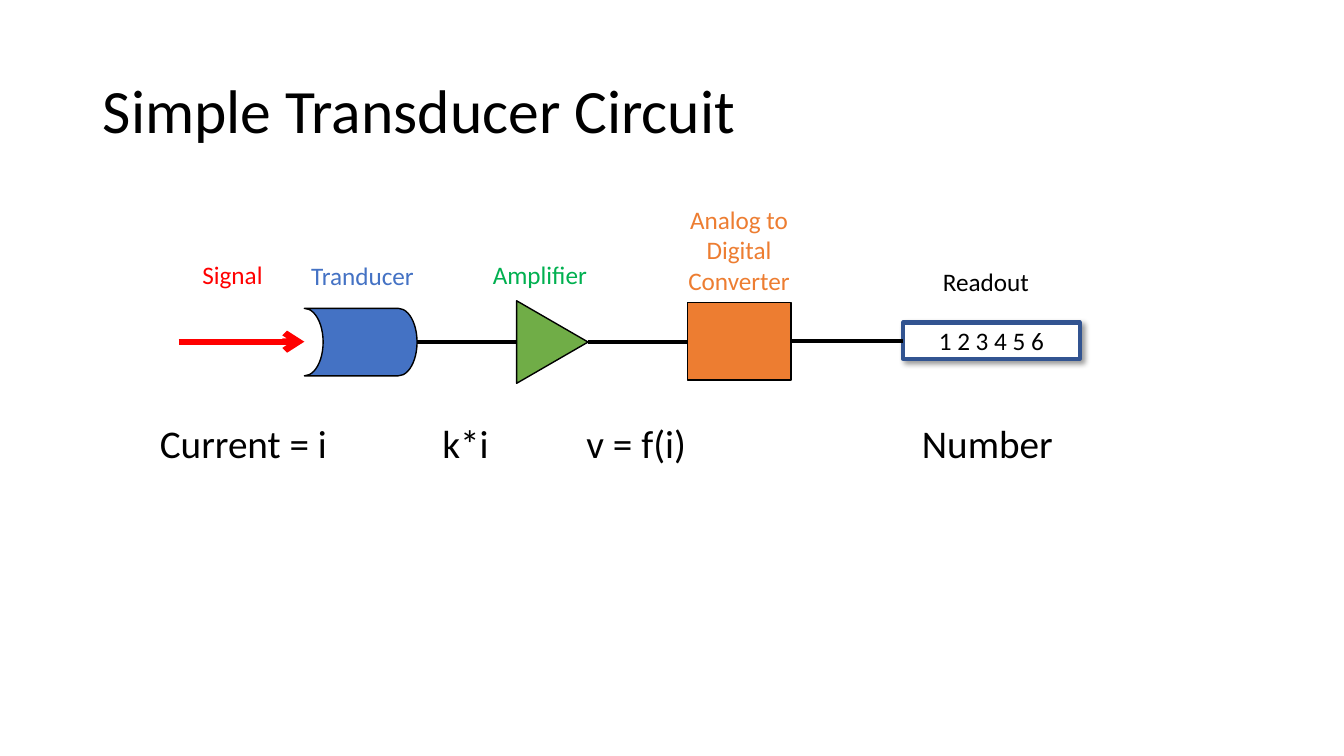
from pptx import Presentation
from pptx.dml.color import RGBColor
from pptx.enum.shapes import MSO_CONNECTOR, MSO_SHAPE
from pptx.enum.text import MSO_ANCHOR, MSO_AUTO_SIZE, PP_ALIGN
from pptx.oxml import parse_xml
from pptx.oxml.ns import nsdecls, qn
from pptx.util import Cm, Pt
from lxml.etree import SubElement

BLACK = RGBColor(0x00, 0x00, 0x00)
WHITE = RGBColor(0xFF, 0xFF, 0xFF)
RED = RGBColor(0xFF, 0x00, 0x00)
BLUE = RGBColor(0x44, 0x72, 0xC4)
NAVY = RGBColor(0x32, 0x54, 0x91)
LEAF = RGBColor(0x70, 0xAD, 0x47)
GREEN = RGBColor(0x00, 0xB0, 0x50)
ORANGE = RGBColor(0xED, 0x7D, 0x31)

deck = Presentation()
deck.slide_width, deck.slide_height = Cm(33.87), Cm(19.05)
slide = deck.slides.add_slide(deck.slide_layouts[5])
shapes = slide.shapes


def write(frame, text, size, color, align):
    para = frame.paragraphs[0]
    para.alignment = align
    run = para.add_run()
    run.text = text
    run.font.name = "Calibri"
    run.font.size = Pt(size)
    run.font.color.rgb = color


# Title
title = shapes.title
title.left, title.top, title.width, title.height = Cm(2.34), Cm(1.02), Cm(29.21), Cm(3.68)
frame = title.text_frame
frame.word_wrap = True
frame.auto_size = MSO_AUTO_SIZE.NONE
frame.vertical_anchor = MSO_ANCHOR.MIDDLE
write(frame, "Simple Transducer Circuit", 44, BLACK, PP_ALIGN.LEFT)
frame.paragraphs[0].line_spacing = 0.9

# Stages of the circuit
stages = [
    (MSO_SHAPE.FLOWCHART_STORED_DATA, 7.67, 7.77, 2.84, 1.7, 180, BLUE, BLACK, 1),
    (MSO_SHAPE.ISOSCELES_TRIANGLE, 12.88, 7.72, 2.08, 1.8, 90, LEAF, BLACK, 1),
    (MSO_SHAPE.RECTANGLE, 17.32, 7.62, 2.62, 1.96, 0, ORANGE, BLACK, 1),
    (MSO_SHAPE.RECTANGLE, 22.76, 8.13, 4.45, 0.91, 0, WHITE, NAVY, 3),
]
for kind, x, y, w, h, turn, fill, edge, width in stages:
    stage = shapes.add_shape(kind, Cm(x), Cm(y), Cm(w), Cm(h))
    stage.rotation = turn
    stage.shadow.inherit = False
    stage.fill.solid()
    stage.fill.fore_color.rgb = fill
    stage.line.color.rgb = edge
    stage.line.width = Pt(width)

# Readout digits and soft shadow on the last stage
stage.text_frame.vertical_anchor = MSO_ANCHOR.MIDDLE
write(stage.text_frame, "1 2 3 4 5 6", 18, BLACK, PP_ALIGN.CENTER)
stage._element.spPr.find(qn("a:effectLst")).append(parse_xml(
    f'<a:outerShdw {nsdecls("a")} blurRad="50800" dist="38100" dir="2700000" '
    'algn="tl" rotWithShape="0"><a:srgbClr val="000000">'
    '<a:alpha val="40000"/></a:srgbClr></a:outerShdw>'))

# Signal arrow and wires
wires = [
    (4.5, 7.67, 8.61, RED, 4.5),
    (10.52, 13.03, 8.61, BLACK, 3),
    (14.81, 17.32, 8.61, BLACK, 3),
    (19.91, 22.76, 8.59, BLACK, 3),
]
for start, end, y, color, width in wires:
    wire = shapes.add_connector(MSO_CONNECTOR.STRAIGHT, Cm(start), Cm(y), Cm(end), Cm(y))
    wire.line.color.rgb = color
    wire.line.width = Pt(width)
    if color == RED:
        SubElement(wire.line._get_or_add_ln(), qn("a:tailEnd"), type="arrow")
    SubElement(wire._element.spPr, qn("a:effectLst"))

# Stage names above, values below
labels = [
    ("Signal", 4.85, 6.4, 2.06, 1.02, 18, RED, False),
    ("Tranducer", 7.59, 6.43, 3.12, 1.02, 18, BLUE, False),
    ("Amplifier", 12.17, 6.4, 2.92, 1.02, 18, GREEN, False),
    ("Analog to Digital Converter", 16.54, 5.03, 4.17, 2.57, 18, ORANGE, True),
    ("Readout", 22.76, 6.58, 4.17, 1.02, 18, BLACK, True),
    ("Current = i", 3.78, 10.44, 4.78, 1.45, 28, BLACK, False),
    ("k*i", 10.9, 10.44, 1.75, 1.45, 28, BLACK, False),
    ("v = f(i)", 14.53, 10.44, 3.05, 1.45, 28, BLACK, False),
    ("Number ", 22.25, 10.44, 5.49, 1.45, 28, BLACK, True),
]
for text, x, y, w, h, size, color, wrap in labels:
    frame = shapes.add_textbox(Cm(x), Cm(y), Cm(w), Cm(h)).text_frame
    frame.word_wrap = wrap
    frame.auto_size = MSO_AUTO_SIZE.SHAPE_TO_FIT_TEXT
    write(frame, text, size, color, PP_ALIGN.CENTER if wrap else PP_ALIGN.LEFT)

deck.save("out.pptx")
